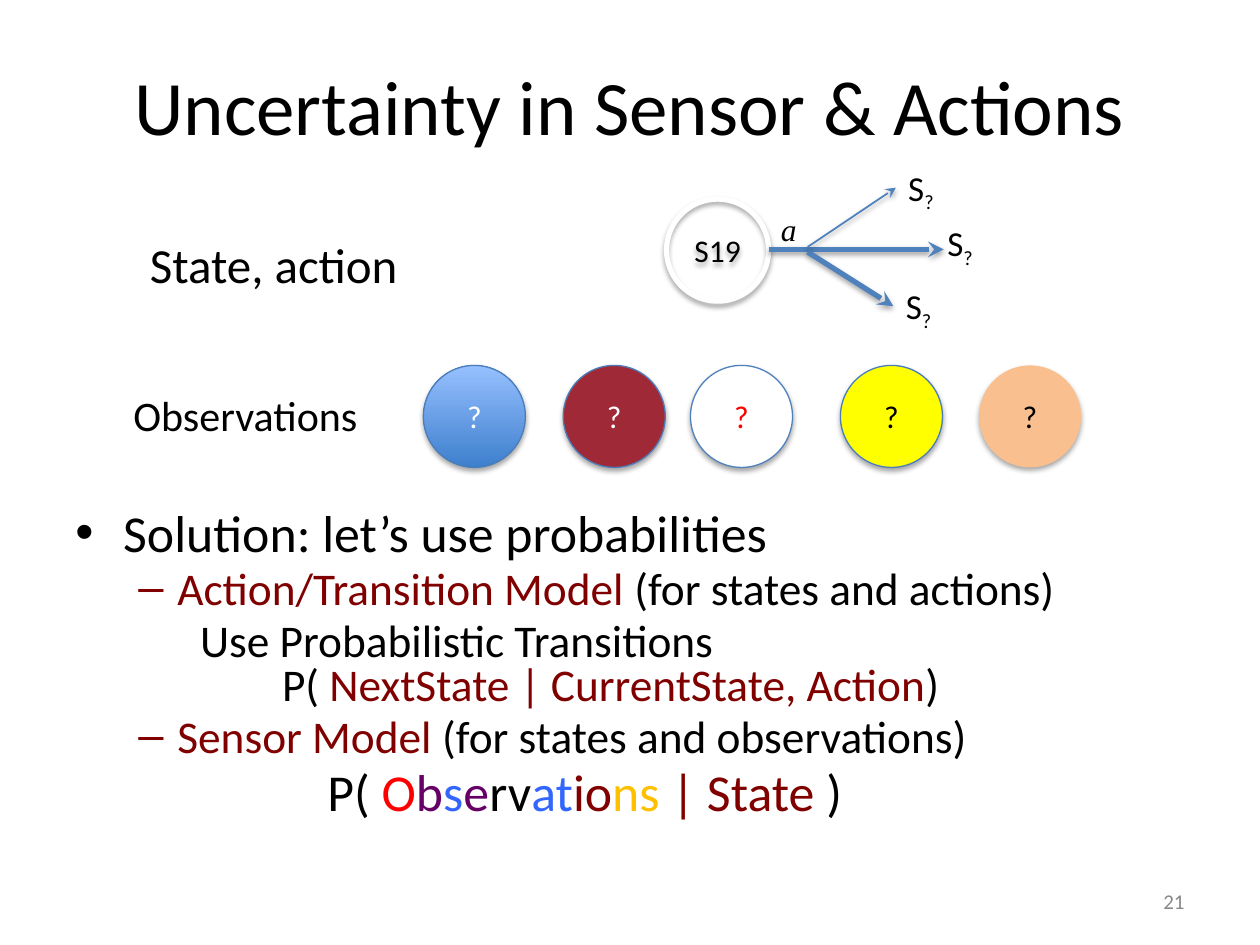
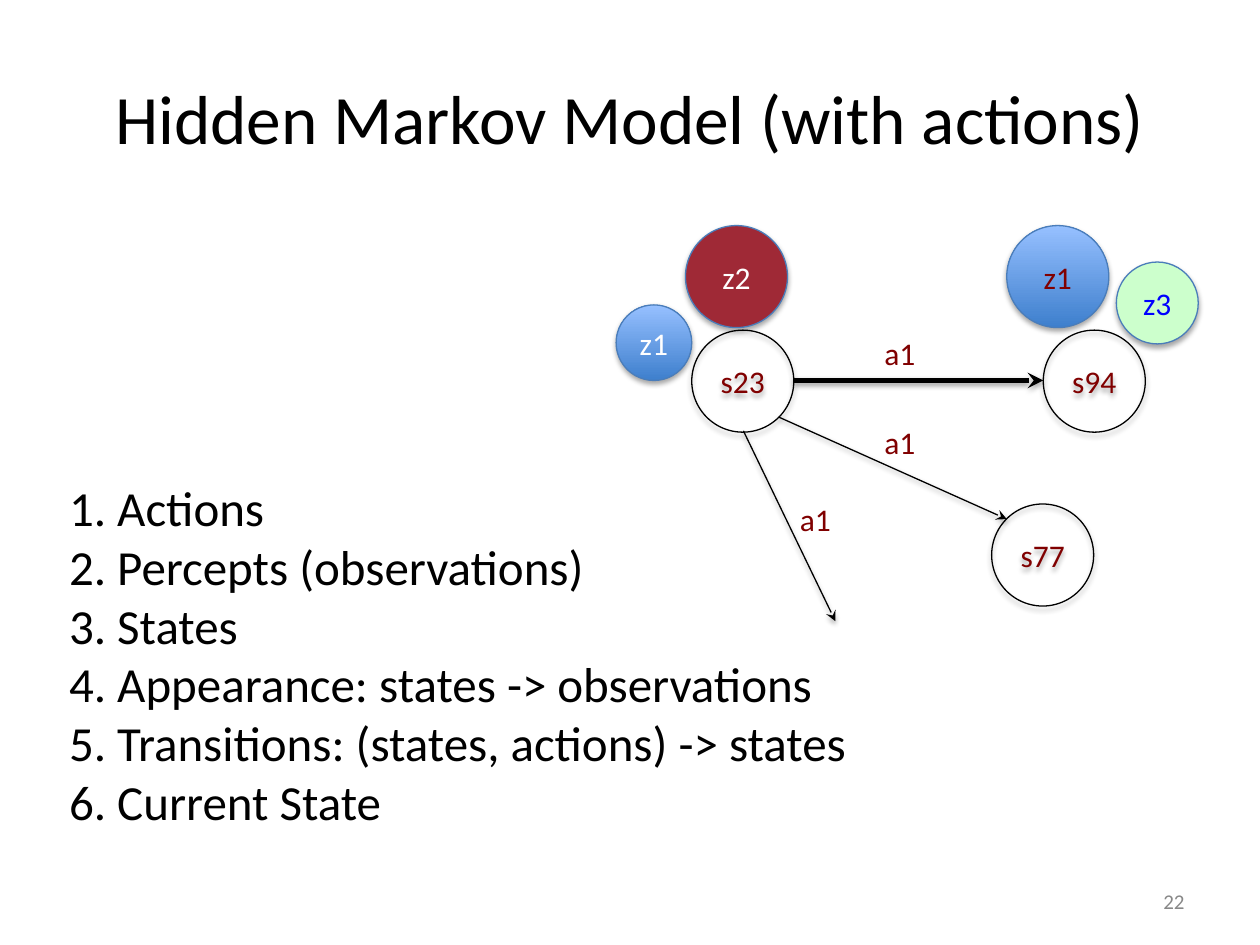
"""Builds two slides on uncertainty and hidden Markov models."""
from dataclasses import dataclass

from lxml import etree
from pptx import Presentation
from pptx import util as u
from pptx.dml import color as col
from pptx.enum import shapes, text
from pptx.oxml import ns

Inches, Pt = u.Inches, u.Pt
LEFT, MID, RIGHT = text.PP_ALIGN.LEFT, text.PP_ALIGN.CENTER, text.PP_ALIGN.RIGHT


@dataclass(frozen=True)
class Theme:
    """Colours, fonts and type sizes."""
    black: str = "000000"
    white: str = "FFFFFF"
    grey: str = "888888"
    maroon: str = "800000"
    red: str = "FF0000"
    purple: str = "660066"
    azure: str = "3366FF"
    gold: str = "FFC000"
    navy: str = "0000FF"
    wine: str = "9F2936"
    yellow: str = "FFFF00"
    peach: str = "FABF8E"
    mint: str = "CCFFCC"
    edge: str = "4A7DBA"
    arrow: str = "4F81BD"
    blue: tuple = ("3E7FCD", "96C0FF")
    font: str = "Calibri"
    serif: str = "Times New Roman"
    title: float = 44
    point: float = 29.6
    item: float = 25.9
    head: float = 28
    label: float = 24
    state: float = 20
    node: float = 18
    foot: float = 12
    ball: float = 0.81


T = Theme()


def rgb(code):
    """Return the colour for a hex code."""
    return col.RGBColor.from_string(code)


def add(node, tag, **attrs):
    """Append a drawing element to an XML node."""
    kid = etree.SubElement(node, ns.qn(f"a:{tag}"))
    for key, val in attrs.items():
        kid.set(key, str(val))
    return kid


def write(para, words, size=T.node, tint=T.black, font=T.font, slant=None, drop=0):
    """Add a formatted run to a paragraph."""
    run = para.add_run()
    run.text = words
    run.font.size = Pt(size)
    run.font.name = font
    run.font.italic = slant
    run.font.color.rgb = rgb(tint)
    if drop:
        run._r.get_or_add_rPr().set("baseline", str(-1000 * drop))


def shade(shape, blur, dist, alpha):
    """Give a shape a soft shadow below it."""
    props = shape.element.spPr
    glow = props.find(ns.qn("a:effectLst"))
    if glow is None:
        glow = add(props, "effectLst")
    cast = add(glow, "outerShdw", blurRad=Pt(blur), dist=Pt(dist),
               dir=5400000, rotWithShape=0)
    add(add(cast, "srgbClr", val=T.black), "alpha", val=alpha * 1000)


class Deck:
    """Holds the presentation and the current slide."""

    def __init__(self, first):
        """Start an empty deck with its first slide number."""
        self.prs = Presentation()
        self.prs.slide_width, self.prs.slide_height = Inches(10), Inches(7.5)
        self.prs.element.set("firstSlideNum", str(first))
        self.num = first - 1

    def page(self, title, left, top, wide, size=T.title):
        """Add a slide with its title and number."""
        self.slide = self.prs.slides.add_slide(self.prs.slide_layouts[5])
        self.num += 1
        head = self.slide.shapes.title
        head.left, head.top = Inches(left), Inches(top)
        head.width, head.height = Inches(wide), Inches(1.25)
        head.text_frame.vertical_anchor = text.MSO_ANCHOR.MIDDLE
        para = head.text_frame.paragraphs[0]
        para.alignment = MID
        write(para, title, size=size)
        self.number()

    def box(self, left, top, wide, high, wrap=False):
        """Add a text box and return its frame."""
        frame = self.slide.shapes.add_textbox(
            Inches(left), Inches(top), Inches(wide), Inches(high)).text_frame
        frame.word_wrap = wrap
        return frame

    def number(self):
        """Add the slide number field."""
        frame = self.box(7.17, 6.95, 2.33, 0.4, wrap=True)
        frame.vertical_anchor = text.MSO_ANCHOR.MIDDLE
        para = frame.paragraphs[0]
        para.alignment = RIGHT
        field = add(para._p, "fld", type="slidenum",
                    id="{B6F15528-21DE-4FAA-801E-634DDDAF4B2B}")
        look = add(field, "rPr", lang="en-US", sz=T.foot * 100)
        add(add(look, "solidFill"), "srgbClr", val=T.grey)
        add(look, "latin", typeface=T.font)
        add(field, "t").text = str(self.num)

    def label(self, words, left, top, wide, high=0.4, sub="", **fmt):
        """Add a one-line label with an optional subscript."""
        para = self.box(left, top, wide, high).paragraphs[0]
        write(para, words, **fmt)
        if sub:
            write(para, sub, drop=25, **fmt)

    def ball(self, words, left, top, size=T.ball, fill=None,
             edge=T.edge, width=0.75, tint=T.black):
        """Add a circle with centred text."""
        ball = self.slide.shapes.add_shape(
            shapes.MSO_SHAPE.OVAL, Inches(left), Inches(top), Inches(size), Inches(size))
        ball.shadow.inherit = False
        if fill is None:
            ball.fill.background()
        elif isinstance(fill, tuple):
            ball.fill.gradient()
            ball.fill.gradient_angle = 90
            for stop, code in zip(ball.fill.gradient_stops, fill):
                stop.color.rgb = rgb(code)
        else:
            ball.fill.solid()
            ball.fill.fore_color.rgb = rgb(fill)
        if edge:
            ball.line.color.rgb = rgb(edge)
            ball.line.width = Pt(width)
        else:
            ball.line.fill.background()
        shade(ball, 3.1, 1.8, 35)
        frame = ball.text_frame
        frame.vertical_anchor = text.MSO_ANCHOR.MIDDLE
        frame.word_wrap = False
        frame.paragraphs[0].alignment = MID
        write(frame.paragraphs[0], words, tint=tint)

    def arrow(self, start, end, tint=T.black, width=0.75):
        """Add a straight arrow between two points."""
        line = self.slide.shapes.add_connector(
            shapes.MSO_CONNECTOR.STRAIGHT, *map(Inches, start + end))
        line.line.color.rgb = rgb(tint)
        line.line.width = Pt(width)
        add(line.element.spPr.find(ns.qn("a:ln")), "tailEnd", type="stealth")
        shade(line, 3.1, 1.6, 37)

    def lines(self, spot, rows):
        """Add a text box of rows, each with indents, bullet and coloured runs."""
        frame = self.box(*spot, wrap=True)
        for pos, (size, left, hang, mark, gap, runs) in enumerate(rows):
            para = frame.add_paragraph() if pos else frame.paragraphs[0]
            props = para._p.get_or_add_pPr()
            props.set("marL", str(Inches(left)))
            props.set("indent", str(-Inches(hang)))
            if mark:
                add(add(props, "buClr"), "srgbClr", val=runs[0][1])
                add(props, "buFont", typeface="Arial")
                add(props, "buChar", char=mark)
            para.alignment = LEFT
            para.line_spacing = 0.8
            para.space_before = Pt(gap)
            for words, tint in runs:
                write(para, words, size=size, tint=tint)


def doubt(deck):
    """Build the slide on uncertain sensors and actions."""
    deck.page("Uncertainty in Sensor & Actions", 0, 0.21, 10)
    deck.label("State, action", 1.09, 1.81, 2.19, 0.57, size=T.head)
    deck.label("Observations", 0.96, 3.04, 2, 0.5, size=T.label)
    deck.ball("S19", 5.29, 1.58, edge=T.white, width=3)
    for start, end, width in [((6.1, 1.98), (7.49, 1.98), 3),
                              ((6.41, 2), (7.09, 2.43), 3),
                              ((6.41, 1.96), (7.11, 1.49), 1)]:
        deck.arrow(start, end, T.arrow, width)
    for left, top in [(7.11, 1.27), (7.42, 1.71), (7.09, 2.21)]:
        deck.label("S", left, top, 0.42, 0.44, sub="?", size=T.state)
    deck.label("a", 6.1, 1.62, 0.33, font=T.serif, slant=True)
    for left, fill, edge, tint in [(3.36, T.blue, T.edge, T.white),
                                   (4.47, T.wine, T.edge, T.white),
                                   (5.48, T.white, T.arrow, T.red),
                                   (6.67, T.yellow, T.edge, T.black),
                                   (7.77, T.peach, None, T.black)]:
        deck.ball("?", left, 2.9, fill=fill, edge=edge, tint=tint)
    deck.lines((0.5, 4.02, 9, 2.68), [
        (T.point, 0.38, 0.38, "•", 0, [("Solution: let’s use probabilities", T.black)]),
        (T.item, 0.81, 0.31, "–", 4.8, [("Action/Transition Model ", T.maroon),
                                        ("(for states and actions)", T.black)]),
        (T.item, 0.99, 0, "", 4.8, [("Use Probabilistic Transitions", T.black)]),
        (T.item, 1.64, 0, "", 0, [("P( ", T.black),
                                  ("NextState | CurrentState, Action", T.maroon),
                                  (")", T.black)]),
        (T.item, 0.81, 0.31, "–", 4.8, [("Sensor Model ", T.maroon),
                                        ("(for states and observations)", T.black)]),
        (T.point, 2, 0, "", 5.4, [("P( ", T.black), ("O", T.red), ("b", T.purple),
                                  ("s", T.azure), ("e", T.purple), ("rv", T.black),
                                  ("at", T.azure), ("io", T.maroon), ("ns", T.gold),
                                  (" | State ", T.maroon), (")", T.black)]),
    ])


def markov(deck):
    """Build the slide on the hidden Markov model."""
    deck.page("Hidden Markov Model (with actions)", 0.5, 0.3, 9, size=39.6)
    for name, left, top in [("s23", 5.49, 2.62), ("s94", 8.28, 2.62), ("s77", 7.87, 4)]:
        deck.ball(name, left, top, edge=T.black, tint=T.maroon)
    for name, left, top, size, fill, tint in [
            ("z1", 4.89, 2.42, 0.6, T.blue, T.white),
            ("z1", 7.99, 1.79, T.ball, T.blue, T.maroon),
            ("z2", 5.44, 1.79, T.ball, T.wine, T.white),
            ("z3", 8.86, 2.08, 0.65, T.mint, T.navy)]:
        deck.ball(name, left, top, size, fill, tint=tint)
    deck.arrow((6.3, 3.02), (8.28, 3.02), width=3)
    deck.arrow((6.18, 3.31), (7.99, 4.12))
    deck.arrow((5.9, 3.42), (6.63, 4.93))
    for left, top in [(6.92, 2.6), (6.92, 3.31), (6.25, 3.92)]:
        deck.label("a1", left, top, 0.45, tint=T.maroon)
    frame = deck.box(0.45, 3.74, 6.57, 2.94, wrap=True)
    parts = ["Actions", "Percepts (observations)", "States",
             "Appearance: states -> observations",
             "Transitions: (states, actions) -> states", "Current State"]
    for pos, part in enumerate(parts, 1):
        para = frame.paragraphs[0] if pos == 1 else frame.add_paragraph()
        write(para, f"{pos}. {part}", size=T.head)


def main():
    """Build and save the deck."""
    deck = Deck(first=21)
    doubt(deck)
    markov(deck)
    deck.prs.save("out.pptx")


if __name__ == "__main__":
    main()
